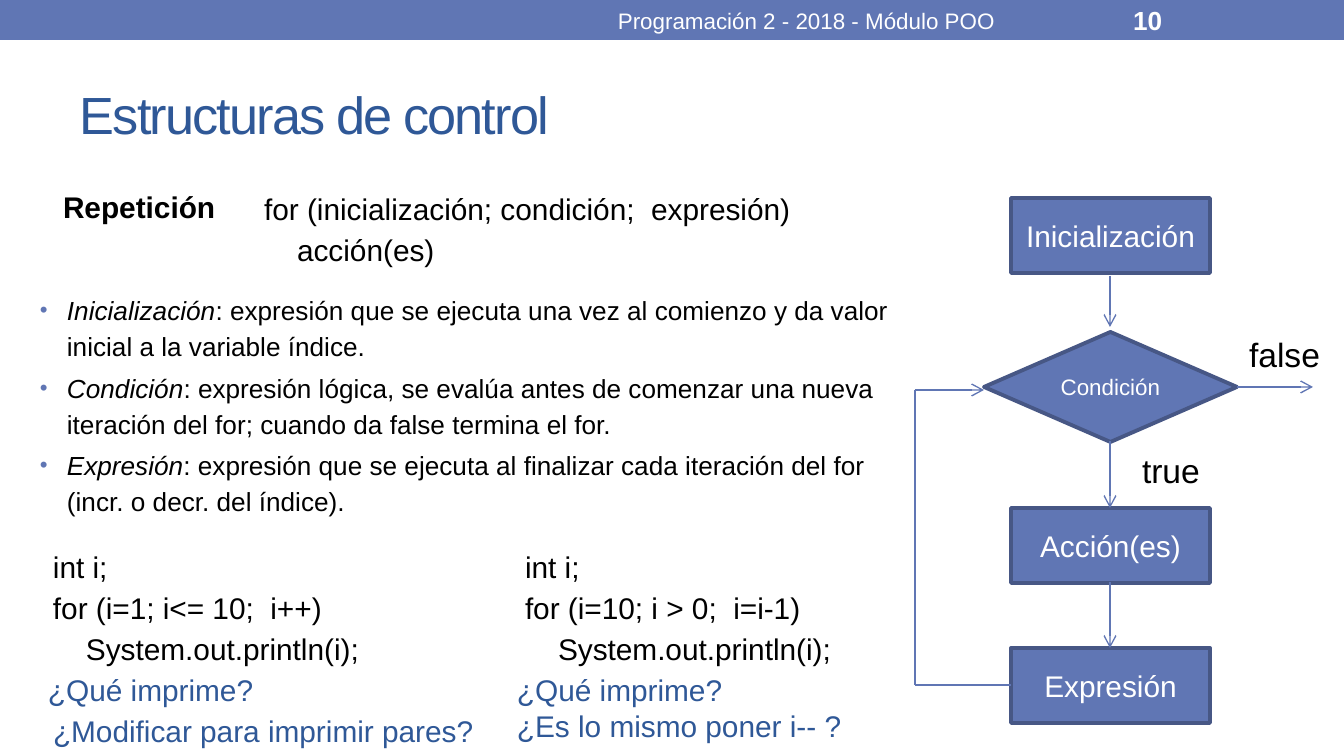
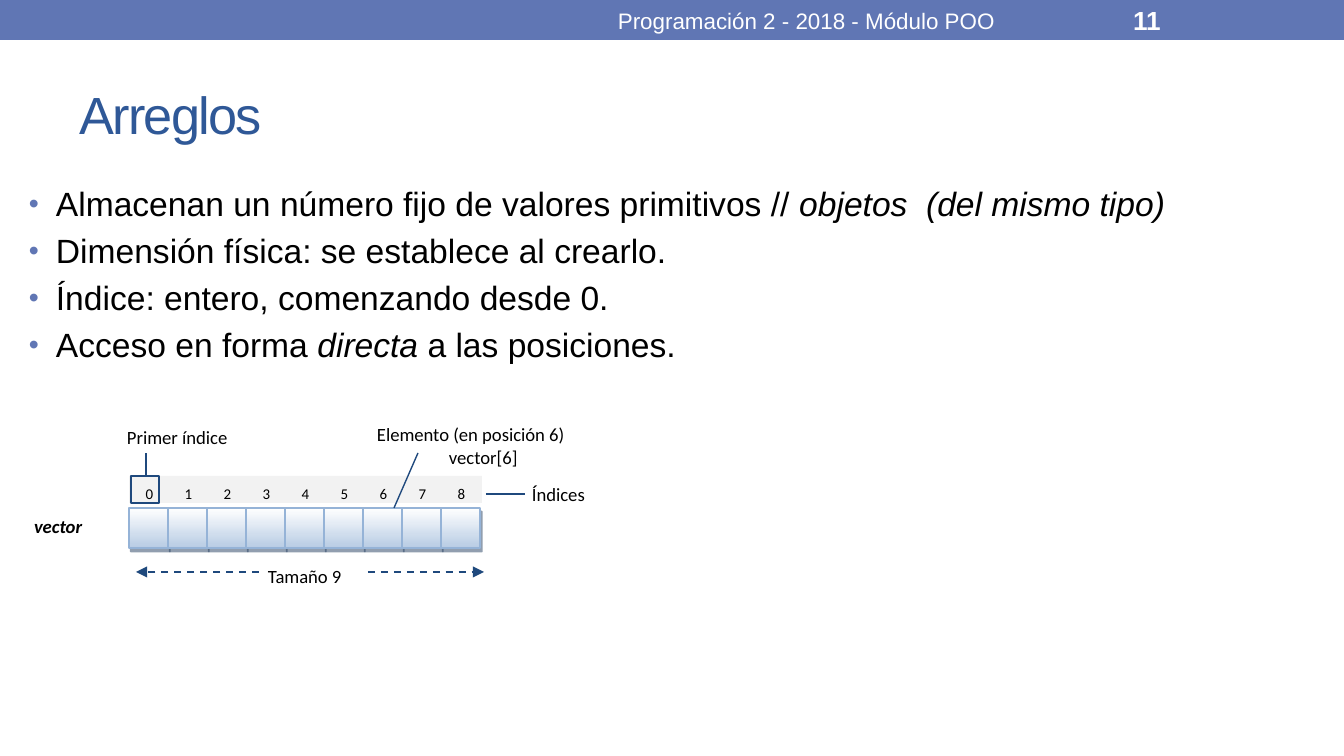
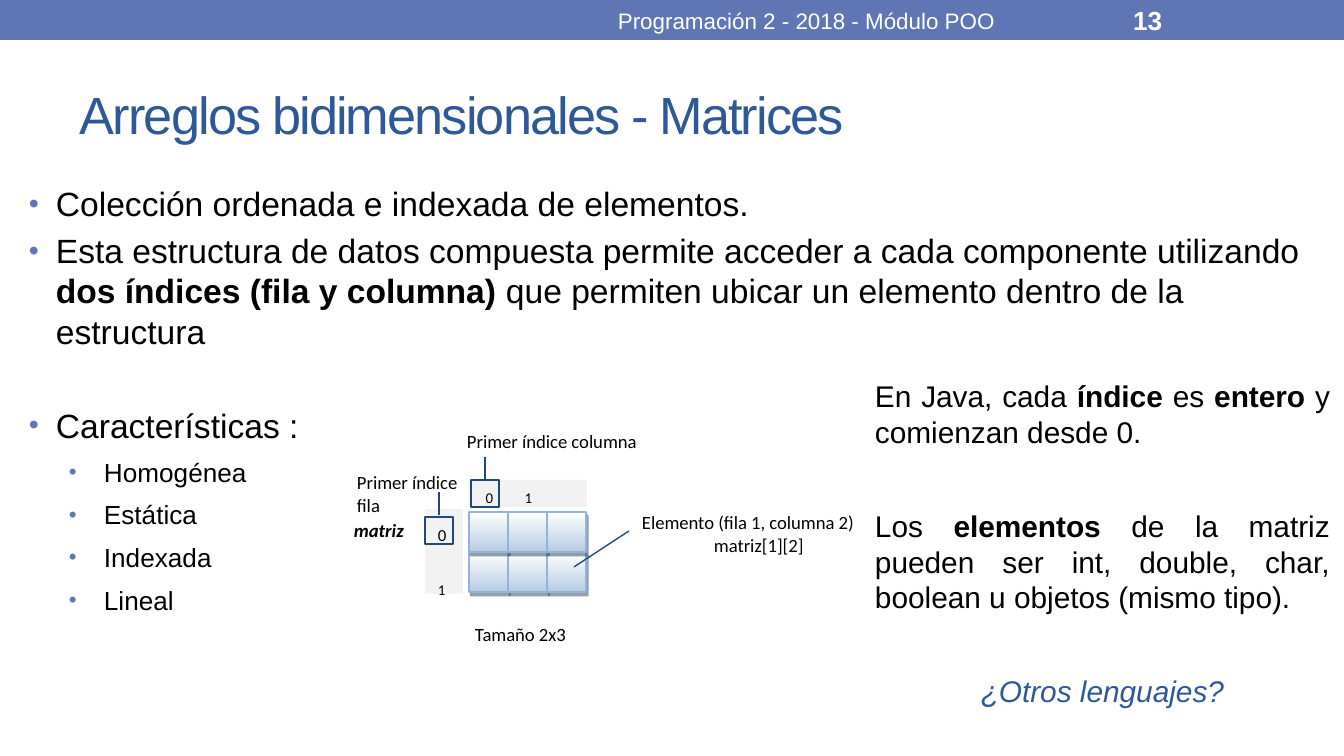
from lxml import etree
from pptx import Presentation
from pptx.dml.color import RGBColor
from pptx.enum.dml import MSO_LINE
from pptx.enum.shapes import MSO_CONNECTOR, MSO_SHAPE
from pptx.enum.text import MSO_ANCHOR, PP_ALIGN
from pptx.oxml.ns import qn
from pptx.util import Pt

EMU_PER_PX = 914400 / 134.4
SLIDE_SIZE = 1344, 756

RECT, DIAMOND = MSO_SHAPE.RECTANGLE, MSO_SHAPE.DIAMOND
STRAIGHT, DASH = MSO_CONNECTOR.STRAIGHT, MSO_LINE.DASH
TOP, MIDDLE = MSO_ANCHOR.TOP, MSO_ANCHOR.MIDDLE
LEFT, CENTER, JUSTIFY = PP_ALIGN.LEFT, PP_ALIGN.CENTER, PP_ALIGN.JUSTIFY

BLACK = RGBColor(0, 0, 0)
WHITE = RGBColor(255, 255, 255)
BAND = RGBColor(0x60, 0x76, 0xB4)
BAND_DARK = RGBColor(0x47, 0x57, 0x85)
TITLE = RGBColor(0x2F, 0x58, 0x97)
NAVY = RGBColor(0x1F, 0x49, 0x7D)
STRIP = RGBColor(0xF2, 0xF2, 0xF2)
CELL_END = RGBColor(0xB8, 0xCC, 0xE4)
CELL_LINE = RGBColor(0x95, 0xB3, 0xD7)
SHADOW = RGBColor(0x24, 0x3F, 0x60)

BOLD, ITALIC = {"bold": True}, {"italic": True}
INSET = 13, 7, 13, 7
CELL_WIDTH, CELL_HEIGHT = 39, 40
HEADER = "Programación 2 - 2018 - Módulo POO"


def arial(size, color=BLACK, **extra):
    return {"name": "Arial", "size": Pt(size), "color": color, **extra}


def calibri(size, **extra):
    return {"name": "Calibri", "size": Pt(size), "color": BLACK, **extra}


def para(*spans, **layout):
    """A span is a string or a (string, font changes) pair."""
    return spans, layout


def bullet(*spans, before=3.6, margin=27, first=-27, **layout):
    return para(*spans, space_before=Pt(before), margin=margin, first=first,
                bullet=True, **layout)


def code(*lines):
    """Lines of code, the last one indented under the loop."""
    paras = [para(line, line_spacing=1.15) for line in lines]
    paras[-1][1]["margin"] = 33
    return paras


# Content: (left, top, width, height), paragraphs, font
LOOP_TEXTS = [
    ((251, 178, 751, 97),
     code("for (inicialización; condición;  expresión)", "acción(es)"), arial(16)),
    ((27, 283, 910, 245), [
        bullet((term, ITALIC), meaning, before=2.8, line_spacing=1.15)
        for term, meaning in [
            ("Inicialización", ": expresión que se ejecuta una vez al comienzo "
             "y da valor inicial a la variable índice."),
            ("Condición", ": expresión lógica, se evalúa antes de comenzar una "
             "nueva iteración del for; cuando da false termina el for."),
            ("Expresión", ": expresión que se ejecuta al finalizar cada "
             "iteración del for (incr. o decr. del índice)."),
        ]], arial(14)),
    ((1236, 327, 108, 54), [para("false")], arial(18)),
    ((1129, 443, 108, 54), [para("true")], arial(18)),
    ((40, 536, 394, 138),
     code("int i;", "for (i=1; i<= 10;  i++)", "System.out.println(i);"), arial(16)),
    ((40, 706, 473, 50), [para("¿Modificar para imprimir pares?")], arial(16, TITLE)),
    ((35, 665, 473, 50), [para("¿Qué imprime?")], arial(16, TITLE)),
    ((512, 536, 446, 138),
     code("int i;", "for (i=10; i > 0;  i=i-1)", "System.out.println(i);"), arial(16)),
    ((504, 665, 538, 86),
     [para("¿Qué imprime?"), para("¿Es lo mismo poner i-- ?")], arial(16, TITLE)),
]
FLOW_STEPS = [
    (RECT, (1011, 198, 199, 75), "Inicialización", 16),
    (DIAMOND, (984, 332, 253, 110), "Condición", 12),
    (RECT, (1011, 508, 199, 75), "Acción(es)", 16),
    (RECT, (1011, 648, 199, 75), "Expresión", 16),
]
FLOW_ARROWS = [
    (1110, 276, 1110, 327), (1110, 441, 1110, 508), (1110, 582, 1110, 648),
    (915, 390, 984, 390), (1237, 387, 1313, 387),
]
FLOW_LINES = [(915, 390, 915, 685), (915, 685, 1011, 685)]

ARRAY_POINTS = [
    bullet("Almacenan un número fijo de valores primitivos // ",
           ("objetos  (del mismo tipo)", ITALIC)),
    bullet("Dimensión física: se establece al crearlo."),
    bullet("Índice: entero, comenzando desde 0."),
    bullet("Acceso en forma ", ("directa ", ITALIC), "a las posiciones."),
]
ARRAY_LABELS = [
    ((519, 476, 138, 43), [para("Índices")], calibri(10)),
    ((255, 558, 140, 43), [para("Tamaño 9")], calibri(10)),
    ((114, 419, 181, 34), [para("Primer índice")], calibri(10)),
    ((364, 416, 349, 59),
     [para("Elemento (en posición 6)"), para("vector[6]", margin=72)], calibri(10)),
    ((21, 508, 83, 34), [para("vector")], calibri(10, bold=True, italic=True)),
]
ARRAY_LINES = [(486, 494, 525, 494), (146, 476, 146, 453), (394, 508, 418, 453)]
ARRAY_SIZE_ARROWS = [(259, 572, 136, 572), (368, 572, 484, 572)]

MATRIX_POINTS = [
    bullet("Colección ordenada e indexada de elementos."),
    bullet("Esta estructura de datos compuesta permite acceder a cada componente "
           "utilizando ", ("dos índices (fila y columna) ", BOLD),
           "que permiten ubicar un elemento dentro de la estructura"),
    bullet("Características :", before=28.8, alignment=JUSTIFY),
] + [
    bullet((trait, {"size": Pt(14)}), before=6, margin=75, first=-35,
           alignment=JUSTIFY)
    for trait in ("Homogénea", "Estática", "Indexada", "Lineal")
]
MATRIX_NOTES = [
    para("En Java, cada ", ("índice", BOLD), " es ", ("entero ", BOLD),
         "y comienzan desde 0.", alignment=JUSTIFY),
    para("Los ", ("elementos", BOLD), " de la matriz pueden ser int, double, char, "
         "boolean u objetos (mismo tipo).", alignment=JUSTIFY, space_before=Pt(31)),
    para(("¿Otros lenguajes?", {"color": TITLE, **ITALIC}), alignment=CENTER,
         space_before=Pt(31)),
]
MATRIX_LABELS = [
    ((462, 616, 140, 43), [para("Tamaño 2x3")], calibri(10)),
    ((454, 423, 227, 34), [para("Primer índice columna")], calibri(10)),
    ((629, 504, 349, 59),
     [para("Elemento (fila 1, columna 2)"), para("matriz[1][2]", margin=72)],
     calibri(10)),
    ((341, 512, 83, 34), [para("matriz")], calibri(10, bold=True, italic=True)),
    ((344, 464, 227, 34), [para("Primer índice"), para("fila")], calibri(10)),
]
MATRIX_LINES = [(485, 480, 485, 457), (574, 567, 629, 531), (439, 515, 439, 492)]


def emu(*lengths):
    return [round(length * EMU_PER_PX) for length in lengths]


def add_xml(parent, tag, **attributes):
    values = {name: str(value) for name, value in attributes.items()}
    return etree.SubElement(parent, qn(tag), values)


def set_font(font, formats):
    for name, value in formats.items():
        if name == "color":
            font.color.rgb = value
        else:
            setattr(font, name, value)


def set_layout(paragraph, layout):
    properties = paragraph._p.get_or_add_pPr()
    layout = dict(layout)
    for key, attribute in (("margin", "marL"), ("first", "indent")):
        properties.set(attribute, str(*emu(layout.pop(key, 0))))
    if layout.pop("bullet", False):
        add_xml(add_xml(properties, "a:buClr"), "a:srgbClr", val=BAND)
        add_xml(properties, "a:buSzPct", val=85000)
        add_xml(properties, "a:buFont", typeface="Arial")
        add_xml(properties, "a:buChar", char="•")
    for name, value in layout.items():
        setattr(paragraph, name, value)


def write(shape, paras, font, anchor=TOP, inset=INSET):
    frame = shape.text_frame
    frame.word_wrap = True
    frame.vertical_anchor = anchor
    for side, margin in zip(("left", "top", "right", "bottom"), emu(*inset)):
        setattr(frame, f"margin_{side}", margin)
    for number, (spans, layout) in enumerate(paras):
        paragraph = frame.add_paragraph() if number else frame.paragraphs[0]
        set_layout(paragraph, {"alignment": LEFT, **layout})
        for span in spans:
            text, changes = (span, {}) if isinstance(span, str) else span
            run = paragraph.add_run()
            run.text = text
            set_font(run.font, {**font, **changes})


def add_text(page, place, paras, font, anchor=TOP, inset=INSET):
    box = page.shapes.add_textbox(*emu(*place))
    write(box, paras, font, anchor, inset)
    return box


def add_shape(page, kind, place, fill=None, line=None, width=0.75):
    shape = page.shapes.add_shape(kind, *emu(*place))
    shape.shadow.inherit = False
    if fill is None:
        shape.fill.background()
    else:
        shape.fill.solid()
        shape.fill.fore_color.rgb = fill
    if line is None:
        shape.line.fill.background()
    else:
        shape.line.color.rgb = line
        shape.line.width = Pt(width)
    return shape


def add_line(page, ends, color, width=0.75, head=None, dash=None):
    line = page.shapes.add_connector(STRAIGHT, *emu(*ends))
    line.line.color.rgb = color
    line.line.width = Pt(width)
    if dash is not None:
        line.line.dash_style = dash
    properties = line.element.spPr
    if head:
        add_xml(properties.find(qn("a:ln")), "a:tailEnd", type=head)
    add_xml(properties, "a:effectLst")


def add_cell(page, left, top):
    cell = add_shape(page, RECT, (left, top, CELL_WIDTH, CELL_HEIGHT),
                     line=CELL_LINE, width=1)
    cell.fill.gradient()
    cell.fill.gradient_angle = 270
    for stop, color in zip(cell.fill.gradient_stops, (WHITE, CELL_END)):
        stop.color.rgb = color
    effects = cell.element.spPr.find(qn("a:effectLst"))
    shadow = add_xml(effects, "a:outerShdw", blurRad=0, dist=Pt(2.2),
                     dir=63 * 60000, algn="ctr", rotWithShape=0)
    add_xml(add_xml(shadow, "a:srgbClr", val=SHADOW), "a:alpha", val=50000)


def add_index_strip(page, place, count):
    """A grey strip with one number over each column, the first one framed."""
    left, top, _, height = place
    add_shape(page, RECT, place, STRIP)
    for column in range(count):
        number_place = left + 1 + CELL_WIDTH * column, top, CELL_WIDTH, height
        add_text(page, number_place, [para(str(column), alignment=CENTER)],
                 calibri(8), MIDDLE, (0, 8, 0, 0))
    add_shape(page, RECT, (left + 2, top, 28, height), line=NAVY)


def add_page(deck, title, number):
    page = deck.slides.add_slide(deck.slide_layouts[6])
    add_shape(page, RECT, (0, 0, 1344, 40), BAND)
    heading = add_text(page, (67, 59, 1210, 109), [para(title)],
                       arial(28, TITLE), MIDDLE)
    heading.text_frame.paragraphs[0].runs[0]._r.get_or_add_rPr().set("spc", "-100")
    add_text(page, (504, 2, 605, 37), [para(HEADER, alignment=CENTER)],
             arial(12, WHITE), MIDDLE)
    add_text(page, (1120, 2, 157, 37), [para(str(number))],
             arial(14, WHITE, bold=True), MIDDLE)
    return page


def build_loop_page(deck):
    page = add_page(deck, "Estructuras de control", 10)
    label = add_text(page, (50, 182, 181, 50), [para("Repetición")],
                     arial(16, bold=True))
    label.text_frame.word_wrap = False
    for kind, place, text, size in FLOW_STEPS:
        step = add_shape(page, kind, place, BAND, BAND_DARK, 2.08)
        write(step, [para(text, alignment=CENTER)], arial(size, WHITE), MIDDLE)
    for ends in FLOW_ARROWS:
        add_line(page, ends, BAND, head="arrow")
    for ends in FLOW_LINES:
        add_line(page, ends, BAND)
    for place, paras, font in LOOP_TEXTS:
        add_text(page, place, paras, font)


def add_diagram_notes(page, labels, lines):
    for ends in lines:
        add_line(page, ends, NAVY)
    for place, paras, font in labels:
        add_text(page, place, paras, font)


def build_array_page(deck):
    page = add_page(deck, "Arreglos", 11)
    add_text(page, (16, 176, 1328, 538), ARRAY_POINTS, arial(18))
    add_index_strip(page, (129, 476, 353, 27), 9)
    for column in range(9):
        add_cell(page, 129 + CELL_WIDTH * column, 508)
    for ends in ARRAY_SIZE_ARROWS:
        add_line(page, ends, NAVY, 1, "triangle", DASH)
    add_diagram_notes(page, ARRAY_LABELS, ARRAY_LINES)


def build_matrix_page(deck):
    page = add_page(deck, "Arreglos bidimensionales - Matrices", 13)
    add_text(page, (16, 176, 1328, 538), MATRIX_POINTS, arial(18))
    add_text(page, (862, 371, 481, 358), MATRIX_NOTES, arial(16))
    add_index_strip(page, (469, 480, 118, 27), 2)
    for row in (1, 0):
        for column in range(3):
            add_cell(page, 469 + CELL_WIDTH * column, 512 + CELL_HEIGHT * row)
    row_strip = add_shape(page, RECT, (425, 509, 38, 85), STRIP)
    write(row_strip, [para(("0", {"size": Pt(9)})), para("1", space_before=Pt(19))],
          calibri(8), MIDDLE, (13, 20, 0, 0))
    add_shape(page, RECT, (425, 517, 28, 27), line=NAVY)
    add_diagram_notes(page, MATRIX_LABELS, MATRIX_LINES)


def main():
    deck = Presentation()
    deck.slide_width, deck.slide_height = emu(*SLIDE_SIZE)
    build_loop_page(deck)
    build_array_page(deck)
    build_matrix_page(deck)
    deck.save("out.pptx")


if __name__ == "__main__":
    main()
